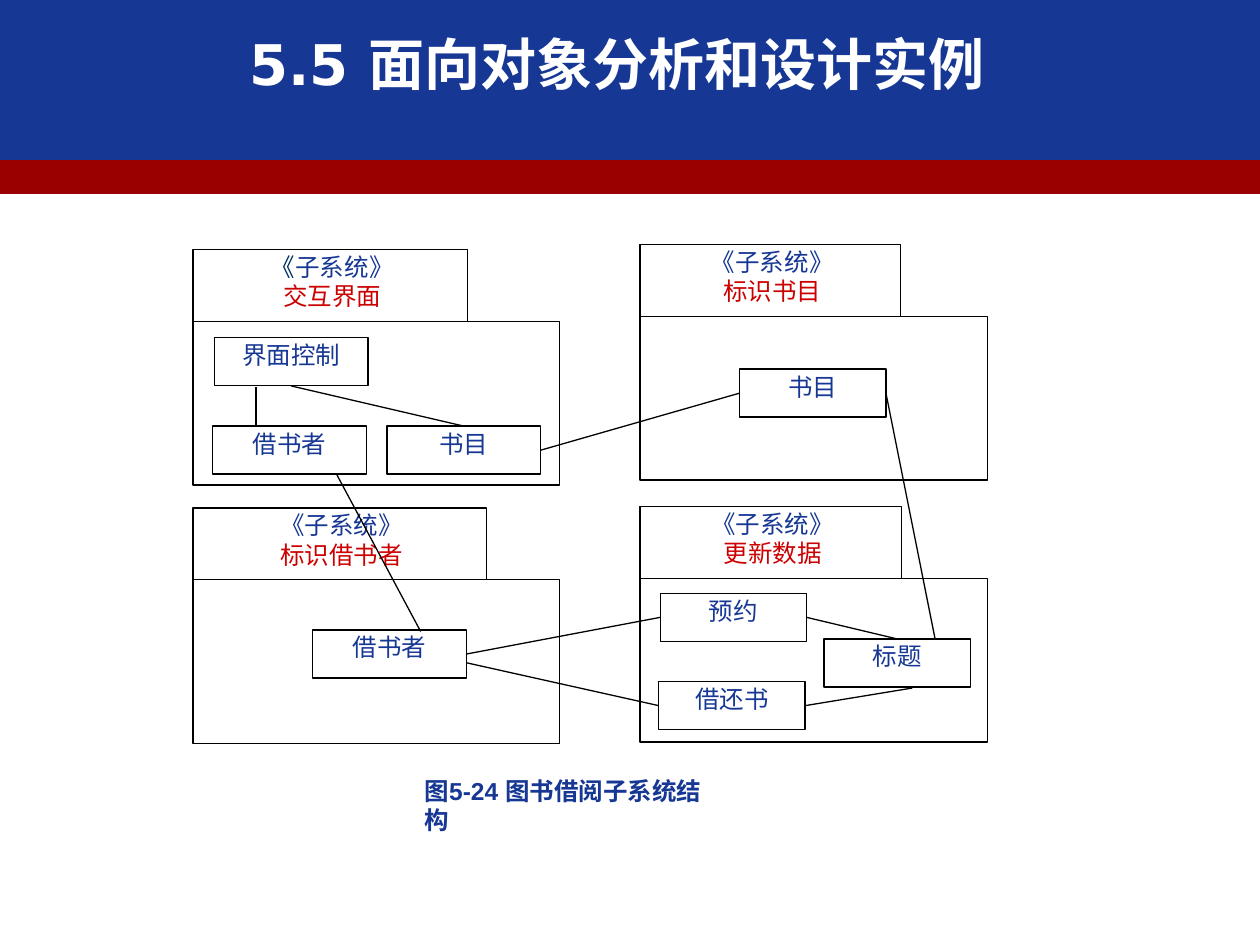
from dataclasses import dataclass

from lxml import etree
from pptx import Presentation
from pptx.dml.color import RGBColor
from pptx.enum.shapes import MSO_CONNECTOR, MSO_SHAPE
from pptx.enum.text import MSO_ANCHOR, PP_ALIGN
from pptx.oxml.ns import qn
from pptx.util import Cm, Pt

RECT = MSO_SHAPE.RECTANGLE
STRAIGHT = MSO_CONNECTOR.STRAIGHT
TOP, MIDDLE = MSO_ANCHOR.TOP, MSO_ANCHOR.MIDDLE
LEFT, CENTER = PP_ALIGN.LEFT, PP_ALIGN.CENTER
SIDE_TOP, SIDE_LEFT, SIDE_BOTTOM, SIDE_RIGHT = range(4)


@dataclass(frozen=True)
class Theme:
    blue: RGBColor = RGBColor(0x16, 0x37, 0x94)
    navy: RGBColor = RGBColor(0x00, 0x33, 0x66)
    band: RGBColor = RGBColor(0x99, 0x00, 0x00)
    red: RGBColor = RGBColor(0xCC, 0x00, 0x00)
    white: RGBColor = RGBColor(0xFF, 0xFF, 0xFF)
    black: RGBColor = RGBColor(0x00, 0x00, 0x00)
    title: Pt = Pt(32)
    body: Pt = Pt(14)
    line: Pt = Pt(0.75)


theme = Theme()
TITLE_FONT = {"name": "DejaVu Sans", "size": theme.title, "bold": True}
LABEL_FONT = {"name": "Times New Roman", "size": theme.body}
CAPTION_FONT = {"name": "Arial", "size": theme.body, "bold": True}
PLAIN = {"word_wrap": True, "vertical_anchor": TOP}
TAB_FRAME = PLAIN | {"margin_left": Cm(0.08), "margin_top": Cm(0.05),
                     "margin_right": 0, "margin_bottom": 0}
CLASS_FRAME = PLAIN | {"margin_left": Cm(0.05), "margin_top": Cm(0.05),
                       "margin_right": Cm(0.05), "margin_bottom": 0}

prs = Presentation()
prs.slide_width, prs.slide_height = Cm(25.4), Cm(19.05)
s = prs.slides.add_slide(prs.slide_layouts[6])


def add_rect(x, y, w, h, fill=theme.white, outlined=True):
    sp = s.shapes.add_shape(RECT, Cm(x), Cm(y), Cm(w), Cm(h))
    sp.shadow.inherit = False
    sp.fill.solid()
    sp.fill.fore_color.rgb = fill
    if outlined:
        sp.line.color.rgb = theme.black
        sp.line.width = theme.line
    else:
        sp.line.fill.background()
    return sp


def write(sp, lines, font, frame, align=CENTER):
    """Fill a shape with lines, each a list of (text, colour) runs."""
    tf = sp.text_frame
    for name, value in frame.items():
        setattr(tf, name, value)
    for i, runs in enumerate(lines):
        p = tf.add_paragraph() if i else tf.paragraphs[0]
        p.alignment = align
        for text, color in runs:
            r = p.add_run()
            r.text = text
            r.font.color.rgb = color
            for name, value in font.items():
                setattr(r.font, name, value)


# Header
add_rect(0, 0, 25.4, 3.28, theme.blue, outlined=False)
add_rect(0, 3.23, 25.4, 0.68, theme.band, outlined=False)
title = s.shapes.add_textbox(Cm(1.09), Cm(0.53), Cm(22.71), Cm(1.47))
write(title, [[("5.5 面向对象分析和设计实例", theme.white)]], TITLE_FONT,
      PLAIN | {"vertical_anchor": MIDDLE})

# Subsystem packages: a tab on a body, with classes inside
TAB_H, BODY_DROP, BODY_H, CLASS_H = 1.47, 1.45, 3.3, 0.97
LEFT_COLUMN = {"x": 3.89, "body_w": 7.39, "class_w": 3.1}
RIGHT_COLUMN = {"x": 12.9, "body_w": 7.01, "class_w": 2.95}
packages = [
    # column, top, tab width, name, bracket colour, classes (key, label, x, y)
    (RIGHT_COLUMN, 10.21, 5.28, "更新数据", theme.blue,
     [("reserve", "预约", 13.31, 11.96), ("lend", "借还书", 13.28, 13.74),
      ("heading", "标题", 16.61, 12.88)]),
    (LEFT_COLUMN, 5.03, 5.54, "交互界面", theme.navy,
     [("control", "界面控制", 4.32, 6.81), ("ui_reader", "借书者", 4.29, 8.59),
      ("ui_book", "书目", 7.8, 8.59)]),
    (RIGHT_COLUMN, 4.93, 5.26, "标识书目", theme.blue,
     [("book", "书目", 14.91, 7.44)]),
    (LEFT_COLUMN, 10.24, 5.92, "标识借书者", theme.blue,
     [("reader", "借书者", 6.3, 12.7)]),
]
classes = {}
for column, top, tab_w, name, bracket, members in packages:
    tab = add_rect(column["x"], top, tab_w, TAB_H)
    write(tab, [[("《", bracket), ("子系统》", theme.blue)], [(name, theme.red)]],
          LABEL_FONT, TAB_FRAME)
    add_rect(column["x"], top + BODY_DROP, column["body_w"], BODY_H)
    for key, label, x, y in members:
        sp = add_rect(x, y, column["class_w"], CLASS_H)
        write(sp, [[(label, theme.blue)]], LABEL_FONT, CLASS_FRAME)
        classes[key] = sp

# Associations: each end is a (class, side) joint or a free (x, y) point
associations = [
    ((18.39, 13.87), ("lend", SIDE_RIGHT)),
    (("reserve", SIDE_RIGHT), ("heading", SIDE_TOP)),
    ((5.16, 7.8), (5.16, 8.61)),
    (("control", SIDE_BOTTOM), ("ui_book", SIDE_TOP)),
    (("ui_book", SIDE_RIGHT), ("book", SIDE_LEFT)),
    ((6.78, 9.55), (8.48, 12.73)),
    (("book", SIDE_RIGHT), (18.85, 12.88)),
    ((9.4, 13.36), ("lend", SIDE_LEFT)),
    (("reader", SIDE_RIGHT), ("reserve", SIDE_LEFT)),
]
for ends in associations:
    points = [(0, 0) if end[0] in classes else end for end in ends]
    (x1, y1), (x2, y2) = points
    line = s.shapes.add_connector(STRAIGHT, Cm(x1), Cm(y1), Cm(x2), Cm(y2))
    for join, (key, side) in zip((line.begin_connect, line.end_connect), ends):
        if key in classes:
            join(classes[key], side)
    line.line.color.rgb = theme.black
    line.line.width = theme.line
    etree.SubElement(line._element.spPr, qn("a:effectLst"))

caption = s.shapes.add_textbox(Cm(8.31), Cm(15.52), Cm(6.58), Cm(0.84))
write(caption, [[("图5-24 图书借阅子系统结构", theme.blue)]], CAPTION_FONT, PLAIN, LEFT)

prs.save("out.pptx")
